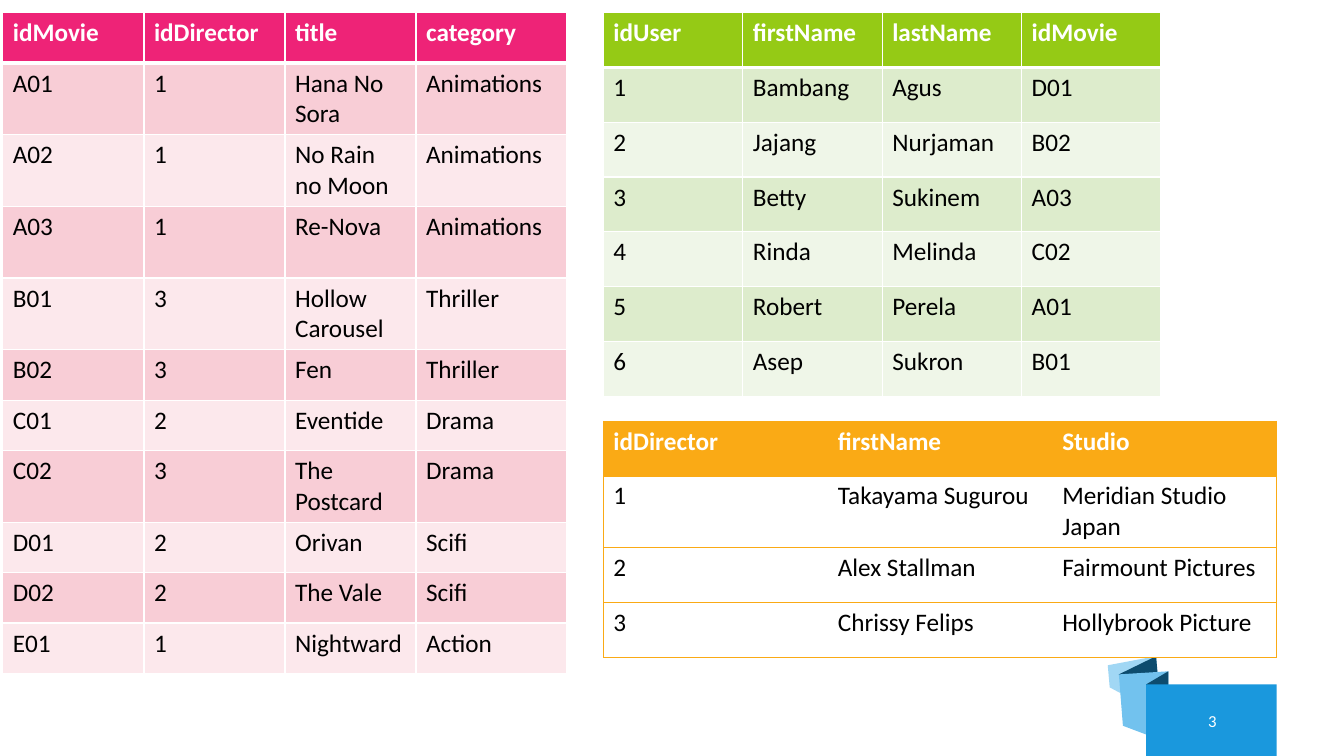
from lxml import etree
from pptx import Presentation
from pptx.dml.color import RGBColor
from pptx.enum.shapes import MSO_SHAPE
from pptx.enum.text import MSO_ANCHOR, PP_ALIGN
from pptx.oxml.ns import qn
from pptx.util import Pt

FONT = "Calibri"
NO_STYLE = "{2D5ABB26-0587-4C30-8999-92F81FD0307C}"
COLORS = {
    "white": "FFFFFF", "black": "000000",
    "pink": "EE2377", "pink_mid": "F8CDD6", "pink_pale": "FCE8EC",
    "green": "95CA15", "green_mid": "DDECCC", "green_pale": "EFF6E8",
    "orange": "FAAA15",
    "sky": "A1D7F4", "azure": "72C2EE", "blue": "1A98DD", "navy": "0D4C6E",
}

MOVIES = [
    ("idMovie", "idDirector", "title", "category"),
    ("A01", "1", "Hana No Sora", "Animations"),
    ("A02", "1", "No Rain no Moon", "Animations"),
    ("A03", "1", "Re-Nova", "Animations"),
    ("B01", "3", "Hollow Carousel", "Thriller"),
    ("B02", "3", "Fen", "Thriller"),
    ("C01", "2", "Eventide", "Drama"),
    ("C02", "3", "The Postcard", "Drama"),
    ("D01", "2", "Orivan", "Scifi"),
    ("D02", "2", "The Vale", "Scifi"),
    ("E01", "1", "Nightward", "Action"),
]
USERS = [
    ("idUser", "firstName", "lastName", "idMovie"),
    ("1", "Bambang", "Agus", "D01"),
    ("2", "Jajang", "Nurjaman", "B02"),
    ("3", "Betty", "Sukinem", "A03"),
    ("4", "Rinda", "Melinda", "C02"),
    ("5", "Robert", "Perela", "A01"),
    ("6", "Asep", "Sukron", "B01"),
]
DIRECTORS = [
    ("idDirector", "firstName", "Studio"),
    ("1", "Takayama Sugurou", "Meridian Studio Japan"),
    ("2", "Alex Stallman", "Fairmount Pictures"),
    ("3", "Chrissy Felips", "Hollybrook Picture"),
]

# Ribbon folds, back to front
RIBBON = [
    ("sky", [(829.4, 510.5), (792.7, 491), (791.3, 475.2), (825.8, 468.7)]),
    ("navy", [(811.4, 518.4), (829.4, 510.5), (825.8, 468.7), (799.2, 481.7)]),
    ("azure", [(799.2, 481.7), (834.5, 479.5), (834.5, 530.6), (802.1, 518.4)]),
    ("navy", [(834.5, 530.6), (818.6, 530.6), (818.6, 488.9), (834.5, 479.5)]),
]


def rgb(name):
    return RGBColor.from_string(COLORS[name])


def paint(shape, color):
    shape.fill.solid()
    shape.fill.fore_color.rgb = rgb(color)
    shape.line.fill.background()
    shape.shadow.inherit = False


def write(frame, text, size, color, bold=False):
    run = frame.paragraphs[0].add_run()
    run.text = text
    run.font.name, run.font.size, run.font.bold = FONT, Pt(size), bold
    run.font.color.rgb = rgb(color)


def set_borders(cell, borders):
    """Draw the sides given as {side: (color, width)}, in schema order."""
    props = cell._tc.get_or_add_tcPr()
    sides = [side for side in "LRTB" if side in borders]
    for index, side in enumerate(sides):
        color, width = borders[side]
        line = etree.Element(qn("a:ln" + side), w=str(Pt(width)))
        fill = etree.SubElement(line, qn("a:solidFill"))
        etree.SubElement(fill, qn("a:srgbClr"), val=COLORS[color])
        props.insert(index, line)


def grid_borders(row, col, last_col):
    """White lines on all sides, thicker below the header."""
    borders = {side: ("white", 1) for side in "LRTB"}
    if row < 2:
        borders["B" if row == 0 else "T"] = ("white", 3)
    return borders


def row_borders(row, col, last_col):
    """Orange lines between rows and around the table."""
    sides = "TB" + ("L" if col == 0 else "") + ("R" if col == last_col else "")
    return {side: ("orange", 0.5) for side in sides}


def add_data_table(slide, rows, left, top, widths, heights, header, bands, borders):
    frame = slide.shapes.add_table(len(rows), len(widths), Pt(left), Pt(top),
                                   Pt(sum(widths)), Pt(sum(heights)))
    table = frame.table
    table._tbl.tblPr.find(qn("a:tableStyleId")).text = NO_STYLE
    for column, width in zip(table.columns, widths):
        column.width = Pt(width)
    for r, values in enumerate(rows):
        table.rows[r].height = Pt(heights[r])
        fill = bands[(r - 1) % len(bands)] if r else header
        for c, value in enumerate(values):
            cell = table.cell(r, c)
            cell.fill.solid()
            cell.fill.fore_color.rgb = rgb(fill)
            write(cell.text_frame, value, 18, "black" if r else "white", r == 0)
            set_borders(cell, borders(r, c, len(widths) - 1))


def add_fold(slide, color, points):
    corners = [(Pt(x), Pt(y)) for x, y in points]
    builder = slide.shapes.build_freeform(*corners[0])
    builder.add_line_segments(corners[1:], close=True)
    paint(builder.convert_to_shape(), color)


def add_page_number(slide, number):
    box = slide.shapes.add_textbox(Pt(837.4), Pt(500.4), Pt(57), Pt(29))
    frame = box.text_frame
    frame.word_wrap = True
    frame.vertical_anchor = MSO_ANCHOR.MIDDLE
    write(frame, number, 12, "white")
    frame.paragraphs[0].alignment = PP_ALIGN.CENTER


def main():
    prs = Presentation()
    prs.slide_width, prs.slide_height = Pt(960), Pt(540)
    slide = prs.slides.add_slide(prs.slide_layouts[6])

    # Corner ribbon with page number
    for color, points in RIBBON:
        add_fold(slide, color, points)
    banner = slide.shapes.add_shape(MSO_SHAPE.RECTANGLE, Pt(818.6), Pt(488.9),
                                    Pt(93.4), Pt(51.1))
    paint(banner, "blue")
    add_page_number(slide, "3")

    # Movies, with some taller rows
    tall_rows = (1, 2, 3, 4, 7)
    heights = [51.2 if r in tall_rows else 36 for r in range(len(MOVIES))]
    add_data_table(slide, MOVIES, 2, 9, [100.8, 100.8, 93.6, 107.6], heights,
                   "pink", ["pink_mid", "pink_pale"], grid_borders)

    # Users
    add_data_table(slide, USERS, 431, 9, [99.6] * 4, [39.15] * len(USERS),
                   "green", ["green_mid", "green_pale"], grid_borders)

    # Directors
    add_data_table(slide, DIRECTORS, 431, 300.8, [160.3] * 3,
                   [39.15, 51.2, 39.15, 39.15], "orange", ["white"], row_borders)

    prs.save("out.pptx")


main()
